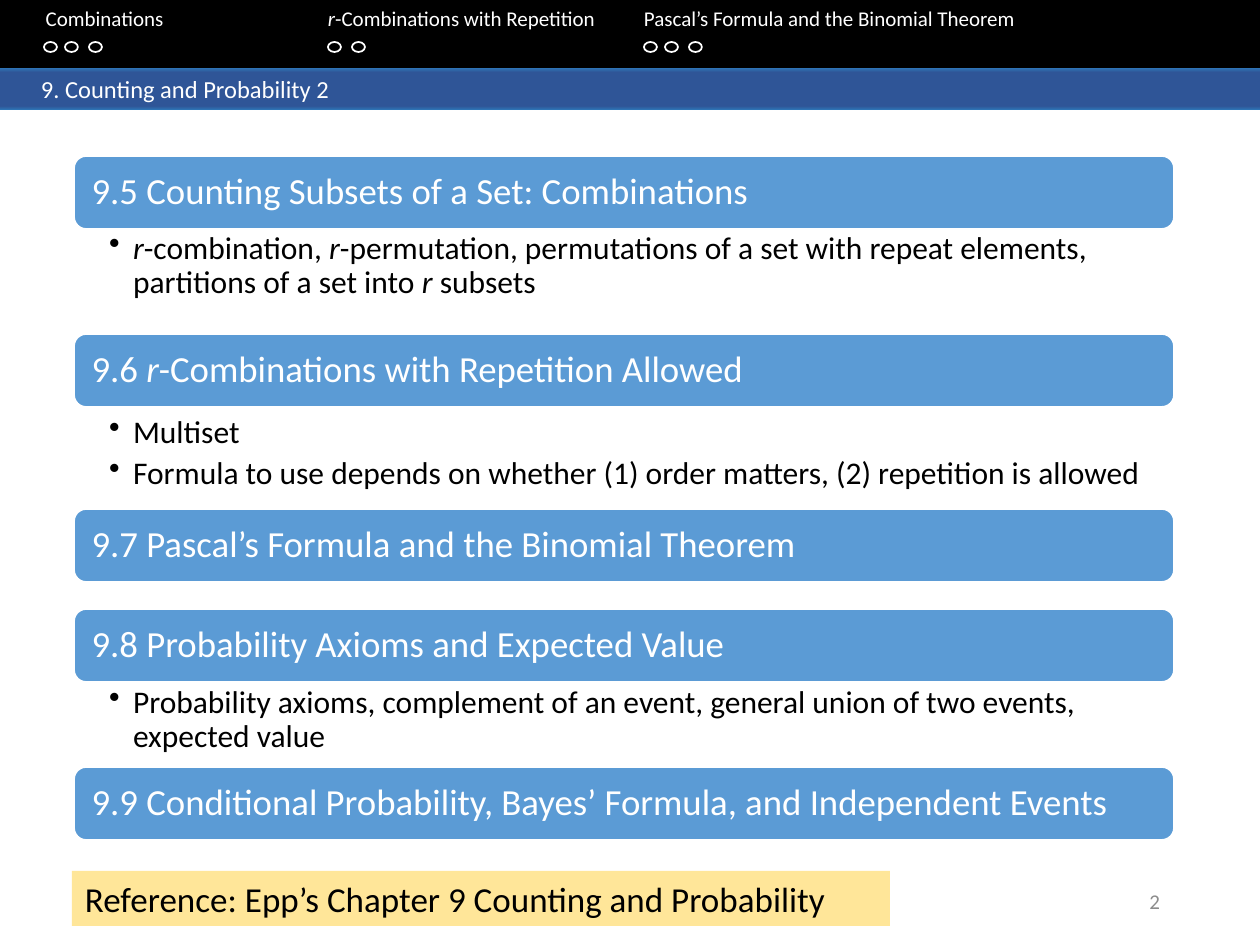
from dataclasses import dataclass

import pptx
import pptx.dml.color
import pptx.enum.shapes
import pptx.enum.text
import pptx.oxml
import pptx.oxml.ns
import pptx.util
from lxml import etree

RGB = pptx.dml.color.RGBColor
SHAPE = pptx.enum.shapes.MSO_SHAPE
ANCHOR = pptx.enum.text.MSO_ANCHOR
ALIGN = pptx.enum.text.PP_ALIGN

WHITE = RGB(0xFF, 0xFF, 0xFF)
BLACK = RGB(0x00, 0x00, 0x00)
GREY = RGB(0x8C, 0x8C, 0x8C)
BLUE = RGB(0x5B, 0x9B, 0xD5)
YELLOW = RGB(0xFF, 0xE6, 0x99)
BAR_EDGE = RGB(0x2E, 0x75, 0xB6)
BAR_CORE = RGB(0x2F, 0x55, 0x97)

FONT = "Calibri"
PX_PER_INCH = 126
DEFAULT_INSETS = (13, 6, 13, 6)


def px(length: int) -> int:
    return round(length * 914400 / PX_PER_INCH)


@dataclass(frozen=True)
class Area:
    left: int
    top: int
    width: int
    height: int

    def emu(self) -> tuple[int, ...]:
        return tuple(px(n) for n in (self.left, self.top, self.width, self.height))


@dataclass(frozen=True)
class Section:
    top: int
    title: str
    details: tuple[str, ...] = ()
    details_top: int = 0
    details_height: int = 0


SECTIONS = [
    Section(156, "9.5 Counting Subsets of a Set: Combinations",
            ("*r*-combination, *r*-permutation, permutations of a set with repeat "
             "elements, partitions of a set into *r* subsets",), 228, 72),
    Section(334, "9.6 *r*-Combinations with Repetition Allowed",
            ("Multiset", "Formula to use depends on whether (1) order matters, "
             "(2) repetition is allowed"), 412, 84),
    Section(509, "9.7 Pascal’s Formula and the Binomial Theorem"),
    Section(609, "9.8 Probability Axioms and Expected Value",
            ("Probability axioms, complement of an event, general union of two "
             "events, expected value",), 682, 77),
    Section(767, "9.9 Conditional Probability, Bayes’ Formula, and Independent Events"),
]


def write(box, *lines: str, size: int, color: RGB, insets=DEFAULT_INSETS,
          anchor=ANCHOR.TOP, align=ALIGN.LEFT, spacing: float | None = None,
          after: int | None = None, tabs=(), bullet: bool = False) -> None:
    """Fill a box with paragraphs; text between asterisks is italic."""
    frame = box.text_frame
    frame.word_wrap = True
    frame.vertical_anchor = anchor
    (frame.margin_left, frame.margin_top,
     frame.margin_right, frame.margin_bottom) = map(px, insets)
    for index, line in enumerate(lines):
        para = frame.add_paragraph() if index else frame.paragraphs[0]
        para.alignment = align
        if spacing is not None:
            para.line_spacing = spacing
        if after is not None:
            para.space_after = pptx.util.Pt(after)
        format_xml(para, tabs, bullet)
        for number, part in enumerate(line.split("*")):
            if part:
                span = para.add_run()
                span.text = part
                span.font.name = FONT
                span.font.size = pptx.util.Pt(size)
                span.font.italic = number % 2 == 1
                span.font.color.rgb = color


def format_xml(para, tabs, bullet: bool) -> None:
    """Set bullets and tab stops."""
    qn = pptx.oxml.ns.qn
    properties = para._p.get_or_add_pPr()
    if bullet:
        para.level = 1
        properties.set("marL", str(px(24)))
        properties.set("indent", str(-px(24)))
        etree.SubElement(properties, qn("a:buChar"), char="•")
    if tabs:
        stops = etree.SubElement(properties, qn("a:tabLst"))
        for stop in tabs:
            etree.SubElement(stops, qn("a:tab"), pos=str(px(stop)), algn="l")


def add_box(page, area: Area):
    return page.shapes.add_textbox(*area.emu())


def add_shape(page, kind, area: Area, fill: RGB | None = None, line: RGB | None = None):
    shape = page.shapes.add_shape(kind, *area.emu())
    shape.shadow.inherit = False
    if fill is None:
        shape.fill.background()
    else:
        shape.fill.solid()
        shape.fill.fore_color.rgb = fill
    if line is None:
        shape.line.fill.background()
    else:
        shape.line.color.rgb = line
        shape.line.width = pptx.util.Pt(1)
    return shape


def shade_bar(shape) -> None:
    """Apply a vertical four-stop gradient."""
    qn = pptx.oxml.ns.qn
    shape.fill.gradient()
    shape.fill.gradient_angle = 270
    stops = shape._element.spPr.find(qn("a:gradFill")).find(qn("a:gsLst"))
    for stop in list(stops):
        stops.remove(stop)
    for percent, color in ((0, BAR_EDGE), (11, BAR_CORE), (91, BAR_CORE), (100, BAR_EDGE)):
        stop = etree.SubElement(stops, qn("a:gs"), pos=str(percent * 1000))
        etree.SubElement(stop, qn("a:srgbClr"), val=str(color))


def draw_section(page, section: Section) -> None:
    heading = add_shape(page, SHAPE.ROUNDED_RECTANGLE,
                        Area(74, section.top, 1100, 73), BLUE, WHITE)
    write(heading, section.title, size=21, color=WHITE, insets=(14, 11, 14, 11),
          anchor=ANCHOR.MIDDLE, spacing=0.9)
    if section.details:
        area = Area(74, section.details_top, 1100, section.details_height)
        write(add_box(page, area), *section.details, size=18, color=BLACK,
              insets=(35, 4, 18, 4), spacing=0.9, after=4, bullet=True)


def draw_header(page) -> None:
    # Chapter bar
    bar = add_shape(page, SHAPE.RECTANGLE, Area(0, 68, 1260, 42))
    shade_bar(bar)
    write(bar, "\t9. Counting and Probability 2", size=14, color=WHITE, tabs=(28,))

    # Navigation strip with progress circles
    add_shape(page, SHAPE.RECTANGLE, Area(0, 0, 1260, 68), BLACK)
    write(add_box(page, Area(0, 0, 1260, 63)),
          "\t Combinations\t\t*r*-Combinations with Repetition \t"
          "Pascal’s Formula and the Binomial Theorem",
          size=12, color=WHITE, tabs=(28, 213, 315, 417, 510, 631, 732, 806))
    for start, offsets in ((44, (0, 21, 45)), (328, (0, 24)), (644, (0, 21, 45))):
        for offset in offsets:
            add_shape(page, SHAPE.OVAL, Area(start + offset, 42, 13, 10), line=WHITE)


def main() -> None:
    deck = pptx.Presentation()
    deck.slide_width, deck.slide_height = px(1260), px(945)
    page = deck.slides.add_slide(deck.slide_layouts[6])

    draw_header(page)
    for section in SECTIONS:
        draw_section(page, section)

    # Reference and page number
    reference = add_shape(page, SHAPE.RECTANGLE, Area(72, 871, 818, 55), YELLOW)
    write(reference, "Reference: Epp’s Chapter 9 Counting and Probability",
          size=20, color=BLACK)
    write(add_box(page, Area(890, 876, 283, 50)), "2", size=12, color=GREY,
          anchor=ANCHOR.MIDDLE, align=ALIGN.RIGHT)

    deck.save("out.pptx")


if __name__ == "__main__":
    main()
